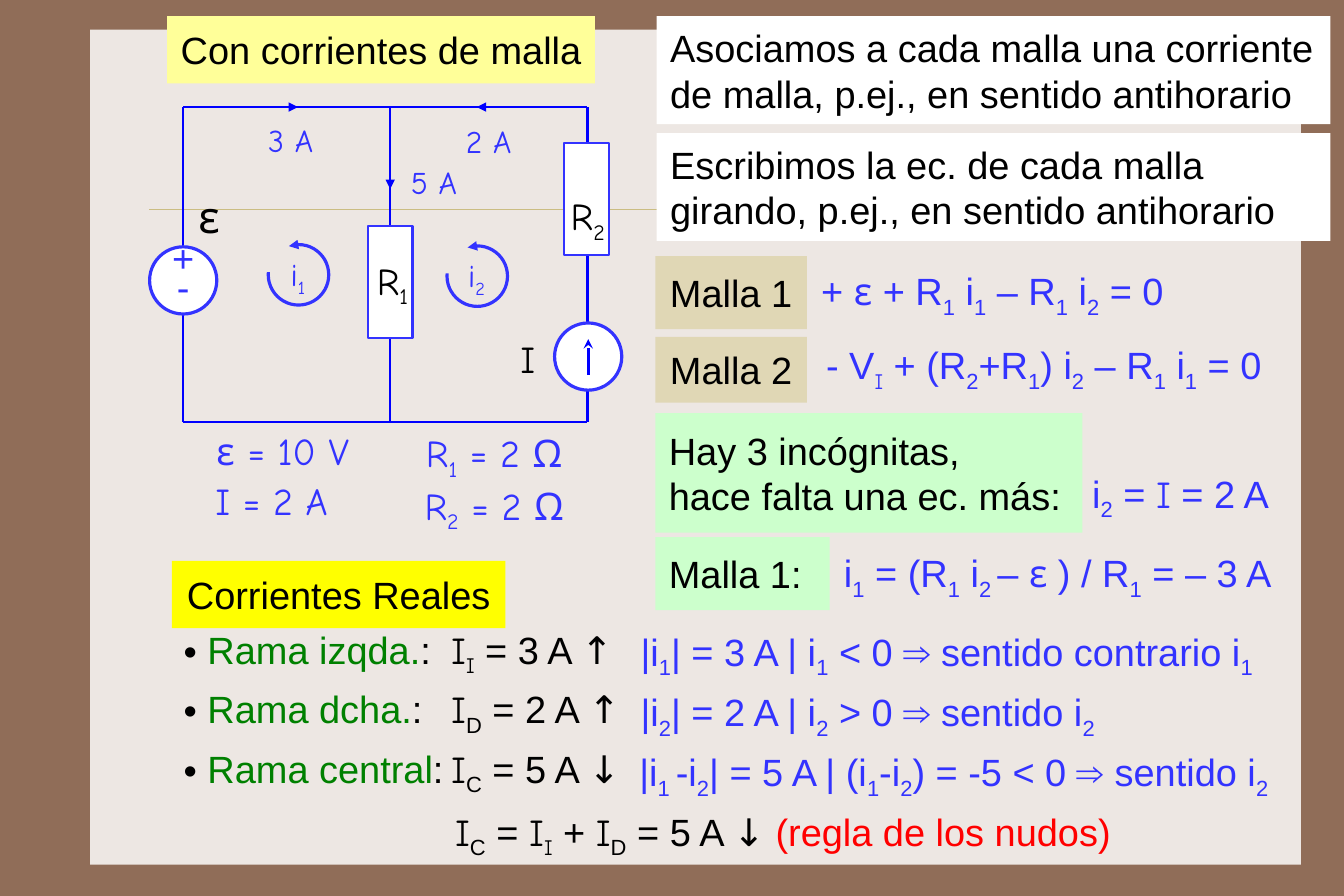
from dataclasses import dataclass
from itertools import groupby

from lxml import etree
from pptx import Presentation
from pptx.dml.color import RGBColor
from pptx.enum.shapes import MSO_CONNECTOR, MSO_SHAPE
from pptx.enum.text import MSO_ANCHOR, PP_ALIGN
from pptx.oxml.ns import qn
from pptx.util import Cm, Pt

RECTANGLE, OVAL, ARC = MSO_SHAPE.RECTANGLE, MSO_SHAPE.OVAL, MSO_SHAPE.ARC
STRAIGHT = MSO_CONNECTOR.STRAIGHT
TOP, MIDDLE = MSO_ANCHOR.TOP, MSO_ANCHOR.MIDDLE
LEFT, CENTER = PP_ALIGN.LEFT, PP_ALIGN.CENTER


@dataclass(frozen=True)
class Theme:
    frame: str = "906D58"
    page: str = "EDE7E3"
    rule: str = "CBBD83"
    white: str = "FFFFFF"
    black: str = "000000"
    wire: str = "0000FF"
    blue: str = "3333FF"
    green: str = "008000"
    red: str = "FF0000"
    cream: str = "FFFF99"
    yellow: str = "FFFF00"
    sand: str = "E0D7B5"
    mint: str = "CCFFCC"
    sans: str = "Arial"
    hand: str = "Comic Neue"
    symbol: int = 28
    body: int = 24
    small: int = 20


theme = Theme()
HAND_SYMBOLS = "Iε↑↓"


def write(shape, text, color=theme.black, size=theme.body, font=theme.sans, align=LEFT,
          anchor=MIDDLE, inset=0.3, accent=None, pitch=None, tab=None):
    """Fill a shape: _x is a subscript, ~...~ takes the accent colour, \\n starts a paragraph."""
    frame = shape.text_frame
    frame.word_wrap, frame.vertical_anchor = True, anchor
    frame.margin_left = frame.margin_right = Cm(inset)
    frame.margin_top = frame.margin_bottom = Cm(min(inset, 0.13))
    for index, line in enumerate(text.split("\n")):
        paragraph = frame.add_paragraph() if index else frame.paragraphs[0]
        paragraph.alignment, paragraph.space_before = align, Pt(0)
        if pitch:
            paragraph.line_spacing = Pt(pitch)
        if tab:
            properties = paragraph._p.get_or_add_pPr()
            properties.set("marL", str(Cm(0.53)))
            properties.set("indent", str(Cm(-0.53)))
            bullet_color = etree.SubElement(properties, qn("a:buClr"))
            etree.SubElement(bullet_color, qn("a:srgbClr"), val=theme.black)
            etree.SubElement(properties, qn("a:buChar"), char="•")
            tabs = etree.SubElement(properties, qn("a:tabLst"))
            etree.SubElement(tabs, qn("a:tab"), pos=str(Cm(tab)), algn="l")
        paragraph.font.size, paragraph.font.name = Pt(size), font
        paragraph.font.color.rgb = RGBColor.from_string(color)
        for part_index, part in enumerate(line.split("~")):
            letters = [(letter, part[:place].endswith("_"), letter in HAND_SYMBOLS)
                       for place, letter in enumerate(part) if letter != "_"]
            for (lowered, by_hand), group in groupby(letters, key=lambda item: item[1:]):
                run = paragraph.add_run()
                run.text = "".join(item[0] for item in group)
                if lowered:
                    run._r.get_or_add_rPr().set("baseline", "-25000")
                if by_hand and font != theme.hand:
                    run.font.name = theme.hand
                if part_index % 2:
                    run.font.color.rgb = RGBColor.from_string(accent)


def draw(kind, box, line=None, width=1.5, fill=None, arrow=None):
    """Add a preset shape in a box, or a straight line from x, y to x, y."""
    lengths = [Cm(value) for value in box]
    if kind is STRAIGHT:
        shape = slide.shapes.add_connector(kind, *lengths)
        etree.SubElement(shape.element.spPr, qn("a:effectLst"))
    else:
        shape = slide.shapes.add_shape(kind, *lengths)
        shape.shadow.inherit = False
        if fill:
            shape.fill.solid()
            shape.fill.fore_color.rgb = RGBColor.from_string(fill)
        else:
            shape.fill.background()
    if line:
        shape.line.color.rgb = RGBColor.from_string(line)
        shape.line.width = Pt(width)
    else:
        shape.line.fill.background()
    if arrow:
        end, head = arrow
        etree.SubElement(shape.line._get_or_add_ln(), qn(f"a:{end}"), type=head)
    return shape


presentation = Presentation()
presentation.slide_width, presentation.slide_height = Cm(30), Cm(20)
layout = presentation.slide_layouts[1]
slide = presentation.slides.add_slide(layout)

# Background, page panel and rule, kept in the layout
slide.background.fill.solid()
slide.background.fill.fore_color.rgb = RGBColor.from_string(theme.frame)
page = draw(RECTANGLE, (2.01, 0.66, 27.03, 18.64), fill=theme.page)
rule = draw(STRAIGHT, (3.33, 4.67, 28.5, 4.67), theme.rule, 0.25)
for position, shape in enumerate((page, rule), start=2):
    layout.shapes.element.insert(position, shape.element)

# Title
title = slide.shapes.title
title.left, title.top, title.width, title.height = Cm(3.73), Cm(0.36), Cm(9.55), Cm(1.5)
title.fill.solid()
title.fill.fore_color.rgb = RGBColor.from_string(theme.cream)
write(title, "Con corrientes de malla", inset=0.2, align=CENTER)

# Circuit wires
left_x, middle_x, right_x = 4.09, 8.71, 13.11
top_y, bottom_y = 2.39, 9.42
for x in (left_x, middle_x, right_x):
    draw(STRAIGHT, (x, top_y, x, bottom_y), theme.wire)
for y in (top_y, bottom_y):
    draw(STRAIGHT, (left_x, y, right_x, y), theme.wire)

# Resistors and sources
for x, y in ((middle_x, 5.05), (right_x - 0.02, 3.19)):
    draw(RECTANGLE, (x - 0.5, y, 1, 2.5), theme.blue, fill=theme.white)
voltage_source, current_source = [
    draw(OVAL, (x - 0.75, y, 1.5, 1.5), theme.blue, 2, theme.white)
    for x, y in ((left_x, 5.51), (right_x + 0.02, 7.21))]
write(voltage_source, "+\n-", theme.blue, align=CENTER, inset=0, pitch=18)
draw(STRAIGHT, (13.13, 8.36, 13.13, 7.57), theme.wire, 2, arrow=("tailEnd", "stealth"))

# Branch current arrows
for ends in ((11.18, top_y, 10.64, top_y), (6.12, top_y, 6.65, top_y),
             (middle_x, 3.68, middle_x, 4.22)):
    draw(STRAIGHT, ends, theme.wire, 1, arrow=("tailEnd", "triangle"))

# Mesh current loops
for x, y in ((5.99, 5.46), (9.98, 5.49)):
    loop = draw(ARC, (x, y, 1.35, 1.35), theme.blue, 2, arrow=("headEnd", "triangle"))
    loop.adjustments[0], loop.adjustments[1] = 150.85, 111.12

# Circuit labels: text, left, top, width, colour, size
for text, x, y, width, color, size in (
        ("R_1", 7.77, 5.61, 1.98, theme.black, theme.body),
        ("R_2", 11.81, 4.17, 2.62, theme.black, theme.body),
        ("I", 10.77, 7.37, 2.03, theme.black, theme.body),
        ("ε", 3.96, 4.09, 1.42, theme.black, theme.symbol),
        ("ε = 10 V", 3.91, 9.42, 4.8, theme.blue, theme.body),
        ("I = 2 A", 3.81, 10.54, 4.5, theme.blue, theme.body),
        ("R_1 = 2 Ω", 7.65, 9.47, 6.76, theme.blue, theme.body),
        ("R_2 = 2 Ω", 7.65, 10.64, 6.76, theme.blue, theme.body),
        ("3 A", 5.31, 2.57, 2.36, theme.blue, theme.small),
        ("2 A", 9.73, 2.59, 2.36, theme.blue, theme.small),
        ("5 A", 8.51, 3.51, 2.36, theme.blue, theme.small),
        ("i_1", 5.94, 5.56, 1.42, theme.blue, theme.small),
        ("i_2", 9.93, 5.59, 1.42, theme.blue, theme.small)):
    label = slide.shapes.add_textbox(Cm(x), Cm(y), Cm(width), Cm(1.63))
    write(label, text, color, size, theme.hand, CENTER, TOP, 0.23)

# Coloured boxes
for text, box, fill, align in (
        ("Asociamos a cada malla una corriente de malla, p.ej., en sentido antihorario",
         (14.66, 0.36, 15.04, 2.41), theme.white, LEFT),
        ("Escribimos la ec. de cada malla girando, p.ej., en sentido antihorario",
         (14.66, 2.97, 15.04, 2.41), theme.white, LEFT),
        ("Malla 1", (14.63, 5.72, 3.38, 1.63), theme.sand, CENTER),
        ("Malla 2", (14.63, 7.52, 3.38, 1.47), theme.sand, CENTER),
        ("Hay 3 incógnitas,\nhace falta una ec. más:",
         (14.63, 9.22, 9.53, 2.67), theme.mint, LEFT),
        ("Malla 1:", (14.63, 11.99, 3.89, 1.63), theme.mint, LEFT),
        ("Corrientes Reales", (3.84, 12.52, 7.44, 1.5), theme.yellow, CENTER)):
    write(draw(RECTANGLE, box, fill=fill), text, align=align)

# Equations: text, left, top, width, colour
for text, x, y, width, color in (
        ("+ ε + R_1 i_1 – R_1 i_2 = 0", 18.03, 5.74, 8.94, theme.blue),
        ("- V_I + (R_2+R_1) i_2 – R_1 i_1 = 0", 18.14, 7.39, 11.13, theme.blue),
        ("i_2 = I = 2 A", 24.08, 10.26, 5.21, theme.blue),
        ("i_1 = (R_1 i_2_ – ε ) / R_1 = – 3 A", 18.54, 12.04, 10.64, theme.blue),
        ("|i_1| = 3 A | i_1 < 0 ⇒ sentido contrario i_1", 14, 13.79, 15.29, theme.blue),
        ("|i_2| = 2 A | i_2 > 0 ⇒ sentido i_2", 14, 15.14, 14.35, theme.blue),
        ("|i_1_ -i_2| = 5 A | (i_1-i_2) = -5 < 0 ⇒ sentido i_2",
         13.97, 16.48, 15.93, theme.blue),
        ("I_C = I_I + I_D = 5 A ↓ ~(regla de los nudos)~", 9.86, 17.81, 16.89, theme.black)):
    equation = slide.shapes.add_textbox(Cm(x), Cm(y), Cm(width), Cm(1.63))
    write(equation, text, color, accent=theme.red)

# Branch list
branches = slide.placeholders[1]
branches.left, branches.top, branches.width, branches.height = Cm(3.8), Cm(13.8), Cm(10.6), Cm(4)
write(branches, "~Rama izqda.~:\tI_I = 3 A ↑\n~Rama dcha.~:\tI_D = 2 A ↑\n~Rama central~:\tI_C = 5 A ↓",
      accent=theme.green, pitch=37.6, tab=5.97)

presentation.save("out.pptx")
